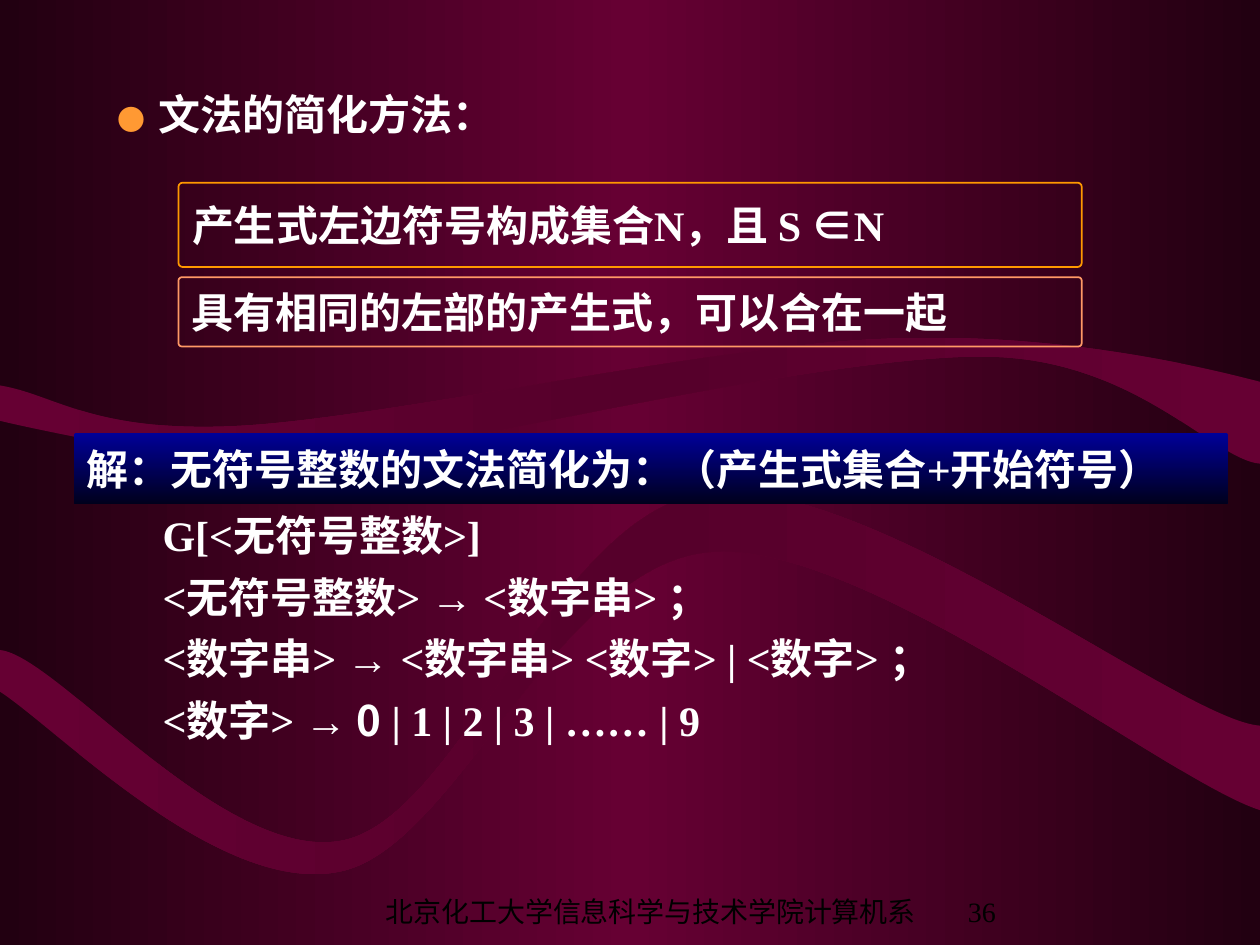
from dataclasses import dataclass
from typing import NamedTuple

import lxml.etree
import copy
import pptx
import pptx.dml.color
import pptx.enum.shapes
import pptx.enum.text
import pptx.oxml.ns
import pptx.util

Pt = pptx.util.Pt
Anchor = pptx.enum.text.MSO_ANCHOR
Align = pptx.enum.text.PP_ALIGN
qn = pptx.oxml.ns.qn


@dataclass(frozen=True)
class Theme:
    serif: str = "Times New Roman"
    sans: str = "Arial"
    chinese: str = "Noto Sans CJK SC"
    body_size: float = 24
    small_size: float = 16
    text: str = "FFFFFF"
    footer: str = "000000"
    bullet: str = "FF9933"
    rule_lines: tuple = ("FF9900", "FF9966")
    background: tuple = ("220011", "660033", "220011")
    wave: tuple = ("660033", "56002B", "660033")
    banner: tuple = ("000099", "00001C")


THEME = Theme()


class Area(NamedTuple):
    left: float
    top: float
    width: float
    height: float


class Piece(NamedTuple):
    text: str
    font: str = THEME.serif


# Each step is one point (straight line) or three points (Bezier curve).
UPPER_WAVE = [
    ((0, 220.3),), ((0, 240.5),),
    ((26.6, 247), (126, 266.4), (159.8, 270)),
    ((193.7, 273.6), (136.8, 272.9), (203, 262.1)),
    ((270, 250.6), (475.2, 203), (561.6, 203.8)),
    ((648, 203.8), (693.4, 262.8), (720, 265)),
    ((720, 218.2),),
    ((684, 208.8), (601.9, 189.4), (504.7, 193.7)),
    ((407.5, 197.3), (221, 239), (136.8, 243.4)),
    ((52.6, 247.7), (31.7, 225.4), (0, 220.3)),
]
LOWER_WAVE = [
    ((0, 371.5),), ((0, 395.3),),
    ((32.4, 416.2), (125.3, 511.9), (193.7, 498.2)),
    ((261.4, 485.3), (319, 321.1), (406.8, 315.4)),
    ((494.6, 308.9), (667.4, 446.4), (720, 463)),
    ((720, 414.7),),
    ((675.4, 411.8), (497.5, 271.4), (404.6, 281.5)),
    ((317.5, 292.3), (264.2, 465.1), (196.6, 480.2)),
    ((128.9, 494.6), (32.4, 374.4), (0, 371.5)),
]
RULES = [
    (Area(102, 104.4, 516.2, 48.2),
     [Piece("产生式左边符号构成集合N，且 S "), Piece("∈", THEME.chinese), Piece("N")]),
    (Area(102, 158.4, 516.2, 39.6),
     [Piece("具有相同的左部的产生式，可以合在一起")]),
]
GRAMMAR = [
    [Piece("G[<无符号整数>]")],
    [Piece("<无符号整数> "), Piece("→", THEME.sans), Piece(" <数字串> ；")],
    [Piece("<数字串> "), Piece("→ ", THEME.sans),
     Piece("<数字串> <数字> | <数字> ；")],
    [Piece("<数字> "), Piece("→", THEME.sans), Piece(" 0", THEME.chinese),
     Piece(" | 1 | 2 | 3 | …… | 9")],
]


def rgb(color: str):
    return pptx.dml.color.RGBColor.from_string(color)


def place(area: Area) -> list:
    return [Pt(length) for length in area]


def paint_gradient(fill, element, colors: tuple, angle: float) -> None:
    """Spread the colours evenly; element is the one that holds the fill."""
    fill.gradient()
    fill.gradient_angle = angle
    stop_list = element.find(".//" + qn("a:gsLst"))
    while len(stop_list) < len(colors):
        stop_list.append(copy.deepcopy(stop_list[-1]))
    for index, (stop, color) in enumerate(zip(fill.gradient_stops, colors)):
        stop.color.rgb = rgb(color)
        stop.position = index / (len(colors) - 1)


def draw_wave(page, steps: list) -> None:
    """Build the control polygon, then join each three-point step into a curve."""
    corners = [(Pt(x), Pt(y)) for step in steps for x, y in step]
    builder = page.shapes.build_freeform(*corners[0])
    builder.add_line_segments(corners[1:], close=True)
    wave = builder.convert_to_shape()
    segments = iter(wave.element.findall(".//" + qn("a:lnTo")))
    for step in steps[1:]:
        parts = [next(segments) for _ in step]
        if len(parts) == 3:
            curve = lxml.etree.Element(qn("a:cubicBezTo"))
            parts[0].addprevious(curve)
            for part in parts:
                curve.append(part[0])
                part.getparent().remove(part)
    wave.shadow.inherit = False
    wave.line.fill.background()
    paint_gradient(wave.fill, wave.element, THEME.wave, 0)


def write(para, pieces: list, size: float = THEME.body_size,
          color: str = THEME.text, bold: bool = True) -> None:
    for piece in pieces:
        span = para.add_run()
        span.text = piece.text
        span.font.name = piece.font
        span.font.size = Pt(size)
        span.font.bold = bold
        span.font.color.rgb = rgb(color)
        east_asian = lxml.etree.Element(qn("a:ea"), typeface=THEME.chinese)
        span.font._element.find(qn("a:latin")).addnext(east_asian)


def add_bar(page, area: Area, pieces: list):
    bar = page.shapes.add_shape(
        pptx.enum.shapes.MSO_SHAPE.ROUNDED_RECTANGLE, *place(area))
    bar.adjustments[0] = 0.05
    bar.shadow.inherit = False
    bar.text_frame.word_wrap = True
    bar.text_frame.vertical_anchor = Anchor.MIDDLE
    para = bar.text_frame.paragraphs[0]
    para.alignment = Align.LEFT
    write(para, pieces)
    return bar


def add_text_frame(page, area: Area, anchor=Anchor.TOP):
    frame = page.shapes.add_textbox(*place(area)).text_frame
    frame.word_wrap = True
    frame.vertical_anchor = anchor
    return frame


def set_title(page, text: str) -> None:
    title = page.shapes.title
    title.left, title.top, title.width, title.height = place(Area(59.8, 50.4, 275.8, 33.1))
    frame = title.text_frame
    frame.auto_size = pptx.enum.text.MSO_AUTO_SIZE.NONE
    frame.vertical_anchor = Anchor.TOP
    para = frame.paragraphs[0]
    para.alignment = Align.LEFT
    para.line_spacing = 0.9
    write(para, [Piece("● ")], THEME.small_size, THEME.bullet)
    para.runs[0].font._element.set("spc", "200")
    write(para, [Piece(text)])


def add_grammar(page) -> None:
    frame = add_text_frame(page, Area(37.4, 296.2, 586.1, 133.2))
    frame.margin_left = Pt(55.5)
    for index, pieces in enumerate(GRAMMAR):
        para = frame.add_paragraph() if index else frame.paragraphs[0]
        para.line_spacing = Pt(20.25)
        para.space_before = Pt(15 if index else 0)
        write(para, pieces)


def add_footer(page, area: Area, text: str, alignment) -> None:
    para = add_text_frame(page, area, Anchor.BOTTOM).paragraphs[0]
    para.alignment = alignment
    write(para, [Piece(text)], THEME.small_size, THEME.footer, bold=False)


def main() -> None:
    deck = pptx.Presentation()
    deck.slide_width, deck.slide_height = Pt(720), Pt(540)
    page = deck.slides.add_slide(deck.slide_layouts[5])
    paint_gradient(page.background.fill, page.element, THEME.background, 0)
    for wave in (UPPER_WAVE, LOWER_WAVE):
        draw_wave(page, wave)
    set_title(page, "文法的简化方法：")
    for (area, pieces), color in zip(RULES, THEME.rule_lines):
        bar = add_bar(page, area, pieces)
        bar.fill.background()
        bar.line.color.rgb = rgb(color)
        bar.line.width = Pt(1)
    banner = add_bar(page, Area(42, 247.2, 660, 41),
                     [Piece("解：无符号整数的文法简化为：（产生式集合+开始符号）")])
    banner.line.fill.background()
    paint_gradient(banner.fill, banner.element, THEME.banner, 270)
    add_grammar(page)
    add_footer(page, Area(204, 510.2, 336, 23.8),
               "北京化工大学信息科学与技术学院计算机系", Align.CENTER)
    add_footer(page, Area(546, 510.2, 60, 23.8), "36", Align.LEFT)
    deck.save("out.pptx")


if __name__ == "__main__":
    main()
